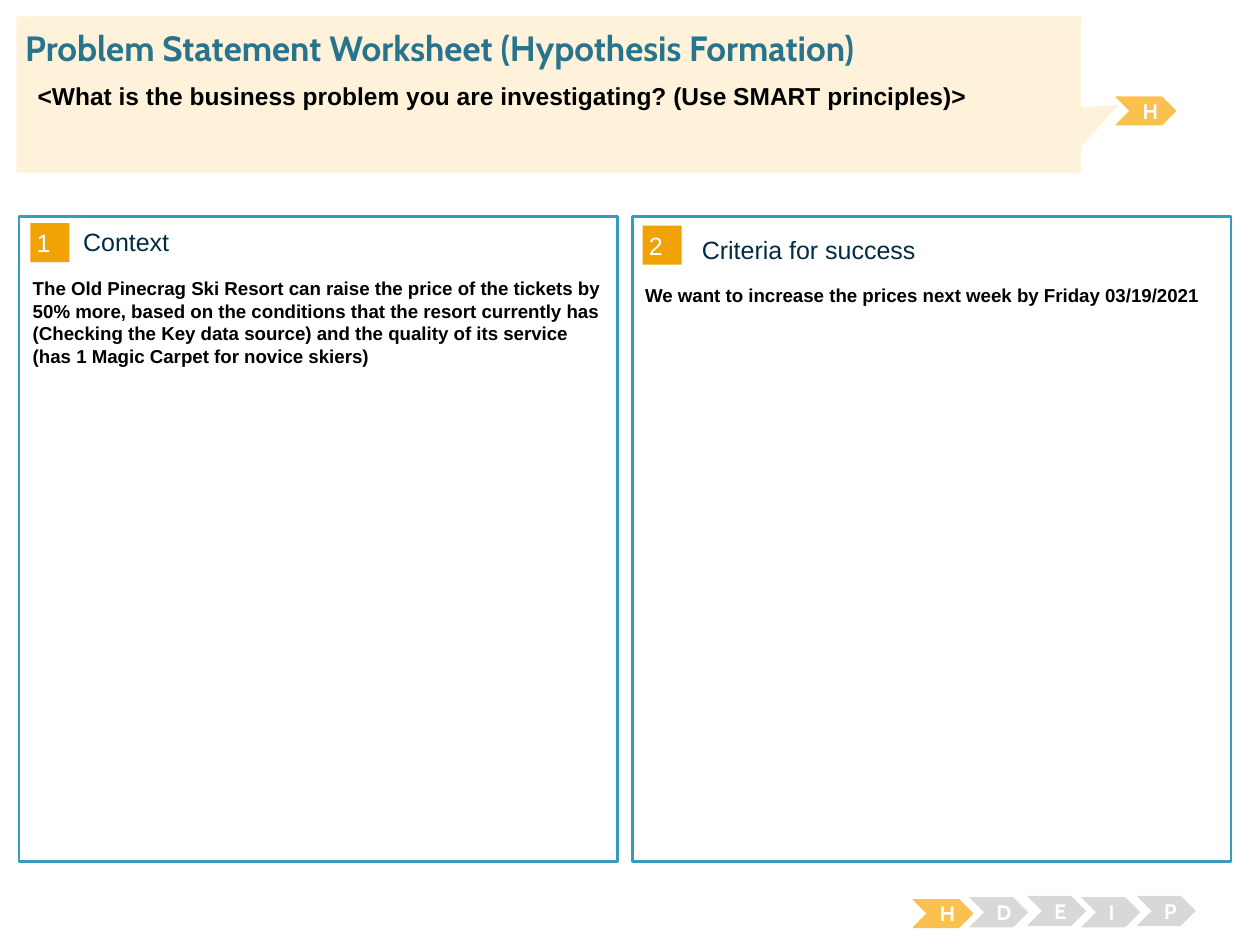
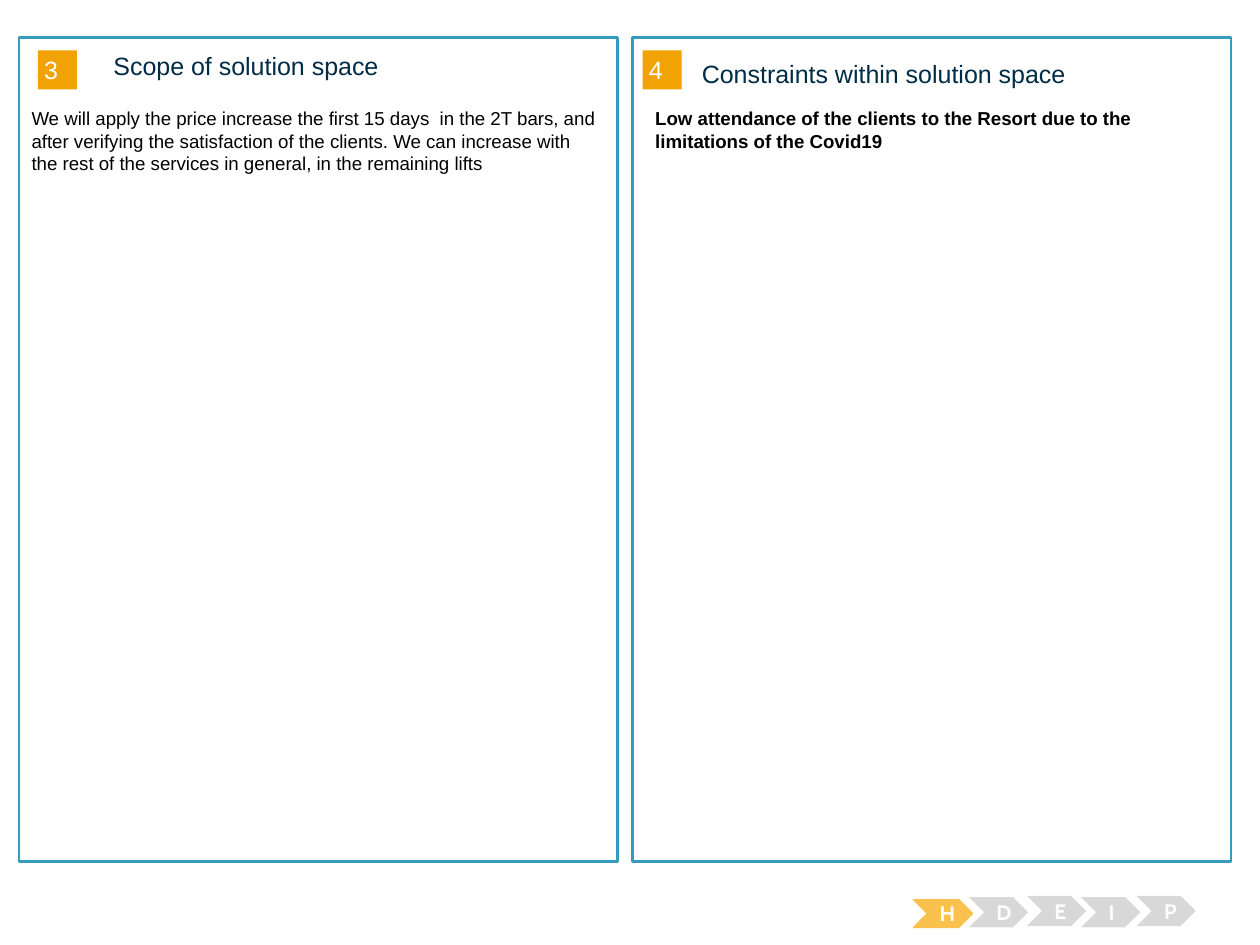
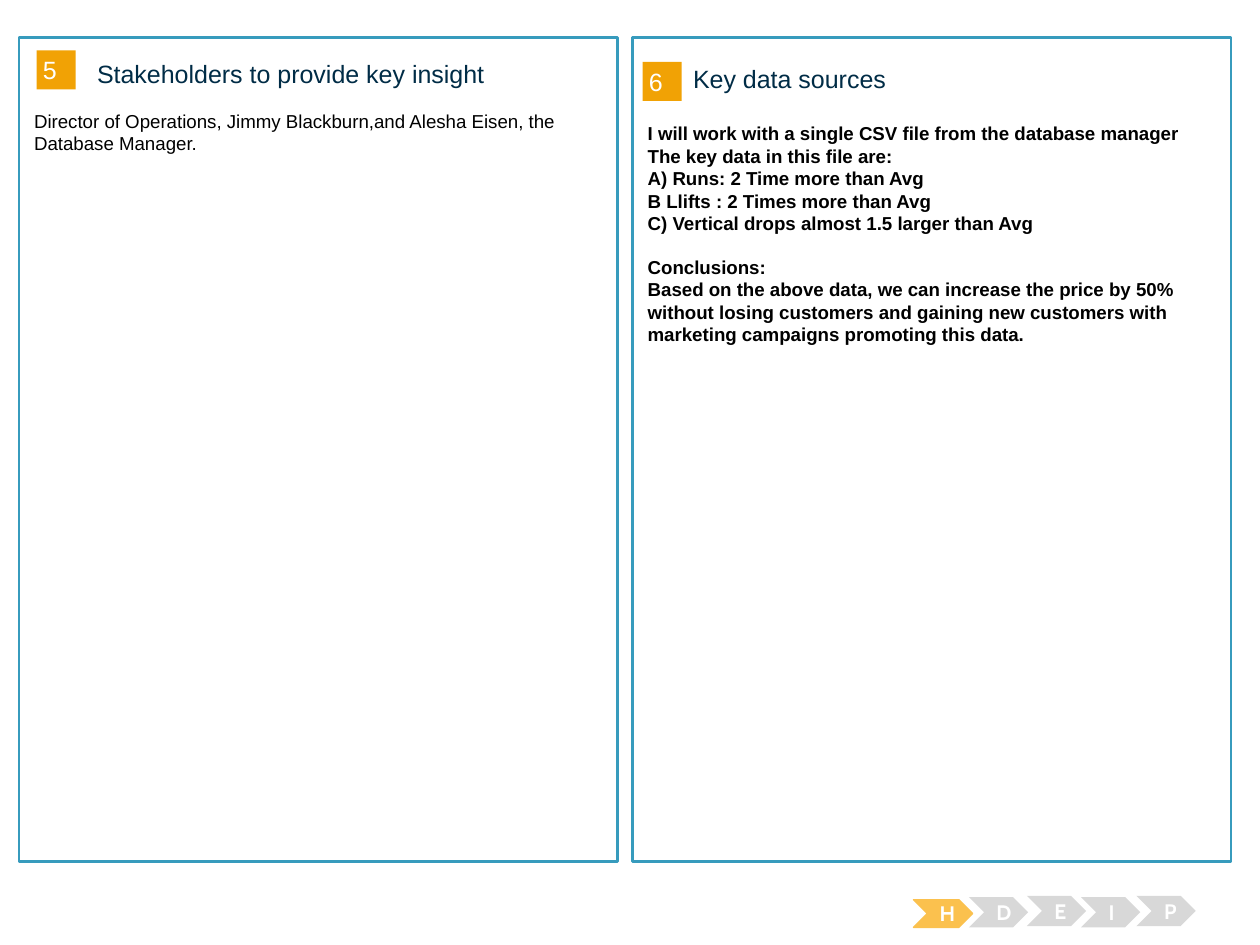
from dataclasses import dataclass

from lxml.etree import SubElement
from pptx import Presentation
from pptx.dml.color import RGBColor
from pptx.enum.shapes import MSO_SHAPE
from pptx.enum.text import MSO_ANCHOR, MSO_AUTO_SIZE, PP_ALIGN
from pptx.oxml.ns import qn
from pptx.util import Inches, Pt


# Colours, fonts and type sizes
@dataclass(frozen=True)
class Theme:
    white: str = "FFFFFF"
    black: str = "000000"
    title: str = "29748D"
    heading: str = "002C46"
    border: str = "379BBD"
    badge: str = "F1A205"
    banner: str = "FEF2DA"
    active: str = "FBC14E"
    inactive: str = "D8D8D8"
    display_font: str = "Cabin"
    text_font: str = "Arial"
    title_size: float = 20
    question_size: float = 14
    heading_size: float = 14.3
    body_size: float = 10.7
    step_size: float = 12


theme = Theme()

# Text styles: font, size, colour, bold, alignment, anchor, side and top insets
STYLE_KEYS = ("name", "size", "color", "bold", "alignment", "anchor", "side", "top")
left, center = PP_ALIGN.LEFT, PP_ALIGN.CENTER
top, middle = MSO_ANCHOR.TOP, MSO_ANCHOR.MIDDLE
STYLES = {
    "title": (theme.display_font, theme.title_size, theme.title, True, left, top, 0, 0),
    "question": (theme.text_font, theme.question_size, theme.black, True, left, top, 0.1, 0.05),
    "heading": (theme.text_font, theme.heading_size, theme.heading, False, left, middle, 0, 0),
    "badge": (theme.text_font, theme.heading_size, theme.white, False, left, middle, 0.05, 0.05),
    "bold body": (theme.text_font, theme.body_size, theme.black, True, left, top, 0.1, 0.05),
    "plain body": (theme.text_font, theme.body_size, theme.black, False, left, top, 0.1, 0.05),
    "step": (theme.display_font, theme.step_size, theme.white, True, center, middle, 0.1, 0.05),
}


def add_block(slide, preset, box, fill, line=None, width=0):
    """Add a flat preset shape with an optional outline."""
    shape = slide.shapes.add_shape(preset, *map(Inches, box))
    shape.shadow.inherit = False
    shape.fill.solid()
    shape.fill.fore_color.rgb = RGBColor.from_string(fill)
    if line:
        shape.line.color.rgb = RGBColor.from_string(line)
        shape.line.width = Pt(width)
    else:
        shape.line.fill.background()
    return shape


def write(shape, lines, style_name, box=None):
    """Fill a shape with styled paragraphs; a box also moves it to the front."""
    style = dict(zip(STYLE_KEYS, STYLES[style_name]))
    if box:
        for attribute, value in zip(("left", "top", "width", "height"), box):
            setattr(shape, attribute, Inches(value))
        shape.element.getparent().append(shape.element)
    frame = shape.text_frame
    frame.text = "\n".join(lines)
    side, vertical = Inches(style["side"]), Inches(style["top"])
    frame_format = {
        "word_wrap": True, "auto_size": MSO_AUTO_SIZE.NONE,
        "vertical_anchor": style["anchor"],
        "margin_left": side, "margin_right": side,
        "margin_top": vertical, "margin_bottom": vertical,
    }
    for attribute, value in frame_format.items():
        setattr(frame, attribute, value)
    for paragraph in frame.paragraphs:
        paragraph.alignment = style["alignment"]
        # One empty line's worth of space sets the conclusions apart
        paragraph.space_before = Pt(12.3 if paragraph.text == "Conclusions:" else 0)
        properties = paragraph._p.get_or_add_pPr()
        properties.set("marL", "0")
        properties.set("indent", "0")
        SubElement(properties, qn("a:buNone"))
        font = paragraph.runs[0].font
        font_format = {"name": style["name"], "size": Pt(style["size"]), "bold": style["bold"]}
        for attribute, value in font_format.items():
            setattr(font, attribute, value)
        font.color.rgb = RGBColor.from_string(style["color"])


# Shared geometry
PANEL_LEFTS = (0.15, 5.02)
PANEL_WIDTH, PANEL_BOTTOM = 4.75, 6.84
BADGE_SIDE = 0.31
HEADING_SIZE = (3.93, 0.24)
BODY_WIDTH = 4.73
STEP_WIDTH = 0.47
STEPS = (("H", 7.25, 7.14), ("D", 7.69, 7.12), ("E", 8.15, 7.11),
         ("I", 8.58, 7.12), ("P", 9.02, 7.11))

# Each slide: panel top, then two panels of
# heading, badge place, heading place, body place, body height, body style, lines
SLIDES = (
    (1.72, (
        ("Context", (0.24, 1.77), (0.66, 1.8), (0.16, 2.15), 1.36, "bold body",
         ["The Old Pinecrag Ski Resort can raise the price of the tickets by 50% more, "
          "based on the conditions that the resort currently has (Checking the Key data "
          "source) and the quality of its service (has 1 Magic Carpet for novice skiers)"]),
        ("Criteria for success", (5.1, 1.79), (5.57, 1.86), (5.02, 2.2), 1.54, "bold body",
         ["We want to increase the prices next week by Friday 03/19/2021"]),
    )),
    (0.3, (
        ("Scope of solution space", (0.3, 0.4), (0.9, 0.4), (0.15, 0.8), 0.82, "plain body",
         ["We will apply the price increase the first 15 days  in the 2T bars, and after "
          "verifying the satisfaction of the clients. We can increase with the rest of the "
          "services in general, in the remaining lifts"]),
        ("Constraints within solution space", (5.1, 0.4), (5.57, 0.46), (5.1, 0.8), 1.18,
         "bold body",
         ["Low attendance of the clients to the Resort due to the limitations of the Covid19"]),
    )),
    (0.3, (
        ("Stakeholders to provide key insight", (0.29, 0.4), (0.77, 0.46), (0.17, 0.82), 1.18,
         "plain body",
         ["Director of Operations, Jimmy Blackburn,and Alesha Eisen, the Database Manager."]),
        ("Key data sources", (5.1, 0.49), (5.5, 0.5), (5.04, 0.92), 1.18, "bold body",
         ["I will work with a single CSV file from the database manager",
          "The key data in this file are:",
          "A) Runs: 2 Time more than Avg",
          "B Llifts : 2 Times more than Avg",
          "C) Vertical drops almost 1.5 larger than Avg",
          "Conclusions:",
          "Based on the above data, we can increase the price by 50% without losing customers "
          "and gaining new customers with marketing campaigns promoting this data."]),
    )),
)

presentation = Presentation()
presentation.slide_width, presentation.slide_height = Inches(10), Inches(7.5)
comparison_layout = presentation.slide_layouts[4]
number = 0

for slide_index, (panel_top, panels) in enumerate(SLIDES):
    slide = presentation.slides.add_slide(comparison_layout)
    title, *panel_placeholders = slide.placeholders

    # Panel frames
    for panel_left in PANEL_LEFTS:
        add_block(slide, MSO_SHAPE.RECTANGLE,
                  (panel_left, panel_top, PANEL_WIDTH, PANEL_BOTTOM - panel_top),
                  theme.white, theme.border, 1.5)

    # Numbered badges, headings and body text
    for index, panel in enumerate(panels):
        heading, badge_place, heading_place, body_place, body_height, body_style, lines = panel
        heading_shape, body_shape = panel_placeholders[2 * index:2 * index + 2]
        number += 1
        badge = add_block(slide, MSO_SHAPE.RECTANGLE,
                          (*badge_place, BADGE_SIDE, BADGE_SIDE), theme.badge)
        write(badge, [str(number)], "badge")
        write(heading_shape, [heading], "heading", (*heading_place, *HEADING_SIZE))
        write(body_shape, lines, body_style, (*body_place, BODY_WIDTH, body_height))

    # Step chevrons in the footer, with the current one repeated by the banner
    chevrons = STEPS + ((("H", 8.86, 0.77),) if slide_index == 0 else ())
    for letter, step_left, step_top in chevrons:
        if letter == "H":
            look = (0.22, theme.active, theme.active, 0.74)
        else:
            look = (0.24, theme.inactive)
        height, *colours = look
        chevron = add_block(slide, MSO_SHAPE.CHEVRON,
                            (step_left, step_top, STEP_WIDTH, height), *colours)
        write(chevron, [letter], "step")

    # Banner with the worksheet title and question on the opening slide
    if slide_index == 0:
        callout = add_block(slide, MSO_SHAPE.RECTANGULAR_CALLOUT,
                            (0.13, 0.13, 8.45, 1.24), theme.banner)
        callout.adjustments[0], callout.adjustments[1] = 0.535, 0.066
        write(title, ["Problem Statement Worksheet (Hypothesis Formation)"], "title",
              (0.2, 0.21, 9.62, 0.34))
        question = slide.shapes.add_textbox(*map(Inches, (0.2, 0.59, 9.39, 0.54)))
        write(question, ["<What is the business problem you are investigating? "
                         "(Use SMART principles)>"], "question")
    else:
        title.element.getparent().remove(title.element)

presentation.save("out.pptx")
